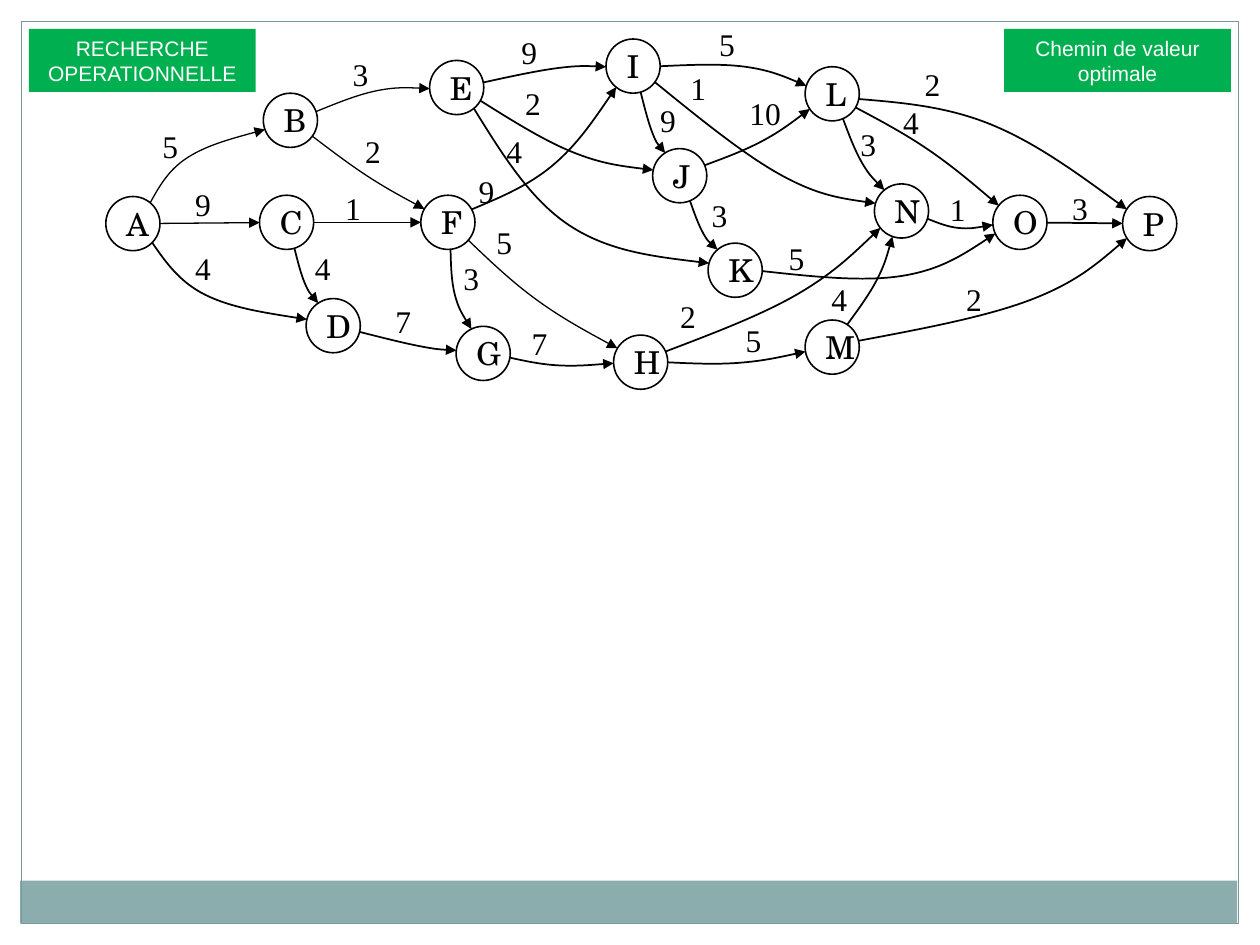
import math
import pptx
import pptx.util
import pptx.dml.color
import pptx.enum.shapes
import pptx.enum.text
import pptx.oxml.ns
import lxml.etree

Inches = pptx.util.Inches
Pt = pptx.util.Pt
SHAPES = pptx.enum.shapes.MSO_SHAPE
ALIGN = pptx.enum.text.PP_ALIGN
ANCHOR = pptx.enum.text.MSO_ANCHOR
qn = pptx.oxml.ns.qn

BLACK = pptx.dml.color.RGBColor(0x00, 0x00, 0x00)
WHITE = pptx.dml.color.RGBColor(0xFF, 0xFF, 0xFF)
GREEN = pptx.dml.color.RGBColor(0x00, 0xB0, 0x50)
BAR_TEAL = pptx.dml.color.RGBColor(0x8C, 0xAD, 0xAE)
FRAME_TEAL = pptx.dml.color.RGBColor(0x7C, 0x99, 0x9A)

BANNER_FONT = {"name": "Arial", "size": Pt(12)}
NODE_FONT = {"name": "TeX Gyre Schola", "size": Pt(18)}
WEIGHT_FONT = {"name": "Times New Roman", "size": Pt(18)}

NODE_SIZE = 0.43
RADIUS = NODE_SIZE / 2
NODES = {
    "A": (0.84, 1.56), "B": (2.09, 0.74), "C": (2.06, 1.55), "D": (2.43, 2.37),
    "E": (3.41, 0.48), "F": (3.34, 1.55), "G": (3.62, 2.59), "H": (4.87, 2.66),
    "I": (4.81, 0.31), "J": (5.18, 1.18), "K": (5.62, 1.93), "L": (6.39, 0.53),
    "M": (6.39, 2.54), "N": (6.94, 1.46), "O": (7.88, 1.55), "P": (8.91, 1.56),
}

# Edge: weight, weight position, point the curve bends through (None if straight)
EDGES = {
    "AB": ("5", (1.19, 0.96), (1.49, 1.25)),
    "AC": ("9", (1.45, 1.42), None),
    "AD": ("4", (1.45, 1.93), (1.63, 2.34)),
    "BE": ("3", (2.7, 0.39), (2.99, 0.72)),
    "BF": ("2", (2.8, 1), (2.92, 1.4)),
    "CF": ("1", (2.64, 1.45), None),
    "CD": ("4", (2.4, 1.93), (2.42, 2.25)),
    "DG": ("7", (3.04, 2.35), (3.34, 2.75)),
    "EI": ("9", (4.04, 0.21), (4.43, 0.54)),
    "EJ": ("2", (4.07, 0.62), (4.55, 1.21)),
    "EK": ("4", (3.92, 1), (4.52, 1.79)),
    "FI": ("9", (3.7, 1.32), (4.39, 1.31)),
    "FG": ("3", (3.58, 2.01), (3.61, 2.34)),
    "FH": ("5", (3.84, 1.72), (4.26, 2.38)),
    "GH": ("7", (4.12, 2.52), (4.43, 2.9)),
    "HM": ("5", (5.82, 2.5), (5.87, 2.88)),
    "HN": ("2", (5.3, 2.31), (6.32, 2.34)),
    "IJ": ("9", (5.14, 0.75), (5.18, 1.06)),
    "IL": ("5", (5.61, 0.15), (5.91, 0.53)),
    "IN": ("1", (5.38, 0.5), (6.2, 1.39)),
    "JL": ("10", (5.85, 0.7), (6.05, 1.12)),
    "JK": ("3", (5.55, 1.51), (5.58, 1.85)),
    "KO": ("5", (6.16, 1.85), (7.16, 2.19)),
    "LN": ("3", (6.73, 0.94), (6.84, 1.29)),
    "LO": ("4", (7.07, 0.77), (7.37, 1.19)),
    "LP": ("2", (7.24, 0.47), (7.87, 0.99)),
    "MN": ("4", (6.5, 2.17), (6.96, 2.22)),
    "MP": ("2", (7.57, 2.17), (8.18, 2.38)),
    "NO": ("1", (7.44, 1.46), (7.61, 1.81)),
    "OP": ("3", (8.41, 1.45), None),
}
THIN_EDGES = ("AB", "AC", "BE", "BF", "CF", "FH")


def add_plain_shape(kind, left, top, width, height, fill=None, line=None, line_width=0.75):
    shape = slide.shapes.add_shape(kind, Inches(left), Inches(top), Inches(width), Inches(height))
    shape.shadow.inherit = False
    if fill is None:
        shape.fill.background()
    else:
        shape.fill.solid()
        shape.fill.fore_color.rgb = fill
    if line is None:
        shape.line.fill.background()
    else:
        shape.line.color.rgb = line
        shape.line.width = Pt(line_width)
    return shape


def write_text(shape, text, font_format, color, alignment, anchor):
    frame = shape.text_frame
    frame.text = text
    frame.word_wrap = True
    frame.vertical_anchor = anchor
    for paragraph in frame.paragraphs:
        paragraph.alignment = alignment
        font = paragraph.runs[0].font
        font.color.rgb = color
        for name, value in font_format.items():
            setattr(font, name, value)


presentation = pptx.Presentation()
presentation.slide_width = Inches(10)
presentation.slide_height = Inches(7.5)
slide = presentation.slides.add_slide(presentation.slide_layouts[6])

add_plain_shape(SHAPES.RECTANGLE, 0.16, 6.99, 9.66, 0.34, fill=BAR_TEAL)
add_plain_shape(SHAPES.RECTANGLE, 0.17, 0.17, 9.66, 7.16, line=FRAME_TEAL)

for left, title in ((0.23, "RECHERCHE\nOPERATIONNELLE"), (7.97, "Chemin de valeur\noptimale")):
    banner = add_plain_shape(SHAPES.RECTANGLE, left, 0.23, 1.8, 0.5, fill=GREEN)
    write_text(banner, title, BANNER_FONT, WHITE, ALIGN.CENTER, ANCHOR.TOP)

centers = {}
for letter, (left, top) in NODES.items():
    node = add_plain_shape(SHAPES.OVAL, left, top, NODE_SIZE, NODE_SIZE, line=BLACK, line_width=0.9)
    write_text(node, letter, NODE_FONT, BLACK, ALIGN.CENTER, ANCHOR.MIDDLE)
    centers[letter] = (left + RADIUS, top + RADIUS)

for name, (weight, (left, top), bend) in EDGES.items():
    source, target = (centers[letter] for letter in name)

    # Each end lies on its node's circle, facing the bend or the other node
    ends = []
    for (x, y), (toward_x, toward_y) in ((source, bend or target), (target, bend or source)):
        angle = math.atan2(toward_y - y, toward_x - x)
        ends.append((x + RADIUS * math.cos(angle), y + RADIUS * math.sin(angle)))
    start, end = ends

    if bend is None:
        edge = slide.shapes.add_connector(
            pptx.enum.shapes.MSO_CONNECTOR.STRAIGHT, *map(Inches, start), *map(Inches, end))
        lxml.etree.SubElement(edge.element.spPr, qn("a:effectLst"))
    else:
        # The tangent at the bend is parallel to the line from start to end
        before = [b - (e - s) / 6 for s, b, e in zip(start, bend, end)]
        after = [b + (e - s) / 6 for s, b, e in zip(start, bend, end)]
        leaving = [(s + b) / 2 for s, b in zip(start, before)]
        arriving = [(a + e) / 2 for a, e in zip(after, end)]
        points = [tuple(map(Inches, point)) for point in (leaving, before, bend, after, arriving, end)]
        builder = slide.shapes.build_freeform(*map(Inches, start))
        builder.add_line_segments(points, close=False)
        edge = builder.convert_to_shape()
        edge.shadow.inherit = False
        edge.fill.background()
        outline = edge.element.xpath(".//a:path")[0]
        segments = outline.findall(qn("a:lnTo"))
        for first in range(0, len(segments), 3):
            curve = lxml.etree.SubElement(outline, qn("a:cubicBezTo"))
            for segment in segments[first:first + 3]:
                curve.append(segment[0])
                outline.remove(segment)
    edge.line.color.rgb = BLACK
    edge.line.width = Pt(0.75 if name in THIN_EDGES else 1)
    line_element = edge.element.xpath("./p:spPr/a:ln")[0]
    lxml.etree.SubElement(line_element, qn("a:tailEnd"), type="triangle")

    width = 0.47 if len(weight) == 2 else 0.41
    label = slide.shapes.add_textbox(Inches(left), Inches(top), Inches(width), Inches(0.4))
    write_text(label, weight, WEIGHT_FONT, BLACK, ALIGN.LEFT, ANCHOR.TOP)
    label.text_frame.auto_size = pptx.enum.text.MSO_AUTO_SIZE.SHAPE_TO_FIT_TEXT

presentation.save("out.pptx")
